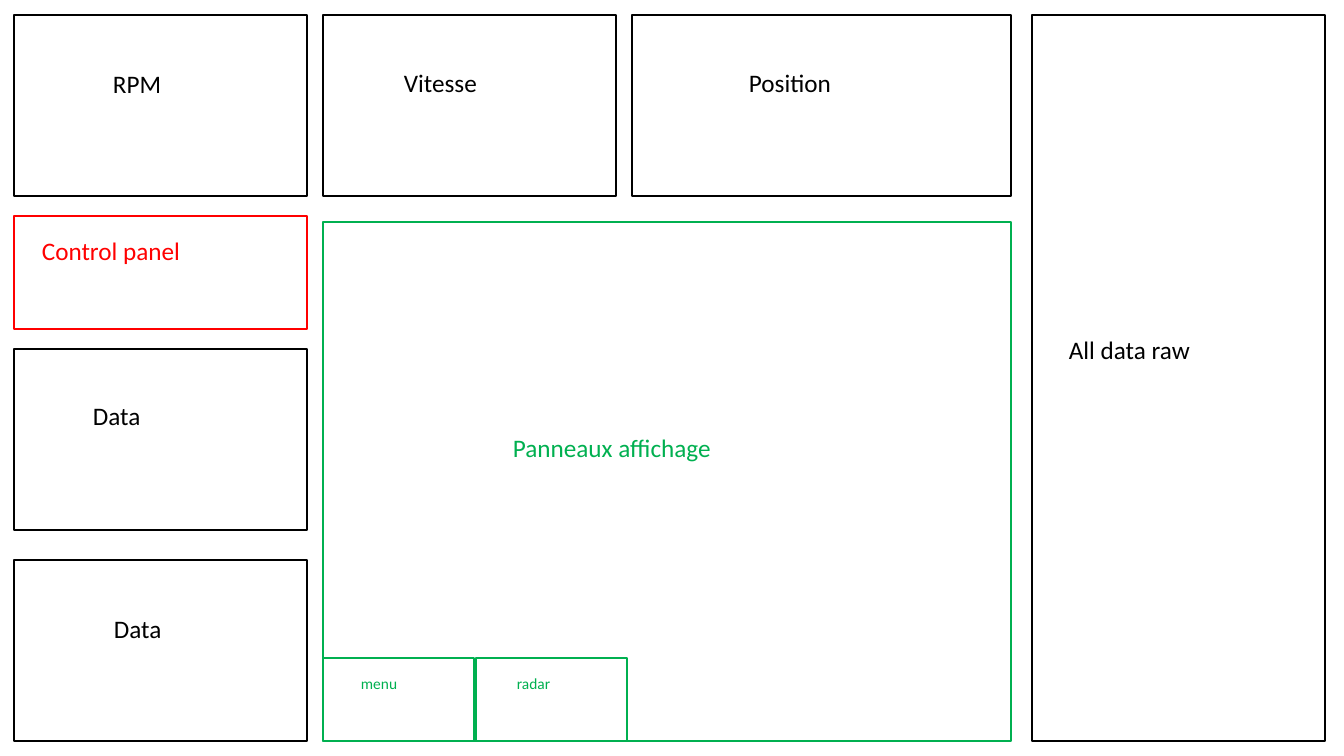
from pptx import Presentation, util as u
from pptx.dml.color import RGBColor
from pptx.enum import shapes, text

BLACK = RGBColor(0, 0, 0)
RED = RGBColor(255, 0, 0)
GREEN = RGBColor(0, 176, 80)
PX = 914400 / 100.8

LEFT, MID, POS, RAW = 14, 323, 632, 1032
TOP, LOW = 15, 741
WIDE, TALL = 293, 181
TAB, TABH, GAP = 151, 83, 2

PANELS = [
    ("Panneaux affichage", (MID, 222, 688, LOW - 222), (503, 427, 374, 86), 18, GREEN),
    ("Data", (LEFT, LOW - TALL, WIDE, TALL), (104, 608, 116, 86), 18, BLACK),
    ("Data", (LEFT, 349, WIDE, TALL), (83, 395, 136, 86), 18, BLACK),
    ("RPM", (LEFT, TOP, WIDE, TALL), (103, 63, 117, 86), 18, BLACK),
    ("Vitesse", (MID, TOP, WIDE, TALL), (394, 62, 159, 86), 18, BLACK),
    ("Position", (POS, TOP, 379, TALL), (739, 62, 174, 86), 18, BLACK),
    ("All data raw", (RAW, TOP, WIDE, LOW - TOP), (1059, 329, 241, 86), 18, BLACK),
    ("Control panel", (LEFT, 216, WIDE, 113), (32, 230, 270, 86), 18, RED),
    ("menu", (MID, LOW - TABH, TAB, TABH), (351, 669, 96, 61), 11, GREEN),
    ("radar", (MID + TAB + GAP, LOW - TABH, TAB, TABH), (507, 669, 92, 61), 11, GREEN),
]


def scale(box):
    return [round(n * PX) for n in box]


def style(item, form):
    for key, val in form.items():
        setattr(item, key, val)


def frame(slide, box, color):
    rect = slide.shapes.add_shape(shapes.MSO_SHAPE.RECTANGLE, *scale(box))
    rect.shadow.inherit = False
    rect.fill.background()
    rect.line.color.rgb = color
    rect.line.width = u.Pt(1)


def label(slide, words, box, size, color):
    body = slide.shapes.add_textbox(*scale(box)).text_frame
    style(body, {"word_wrap": True, "vertical_anchor": text.MSO_ANCHOR.TOP})
    run = body.paragraphs[0].add_run()
    run.text = words
    style(run.font, {"name": "Calibri", "size": u.Pt(size)})
    run.font.color.rgb = color


deck = Presentation()
style(deck, {"slide_width": round(1344 * PX), "slide_height": round(756 * PX)})
slide = deck.slides.add_slide(deck.slide_layouts[6])
for words, box, spot, size, color in PANELS:
    frame(slide, box, color)
    label(slide, words, spot, size, color)
deck.save("out.pptx")
